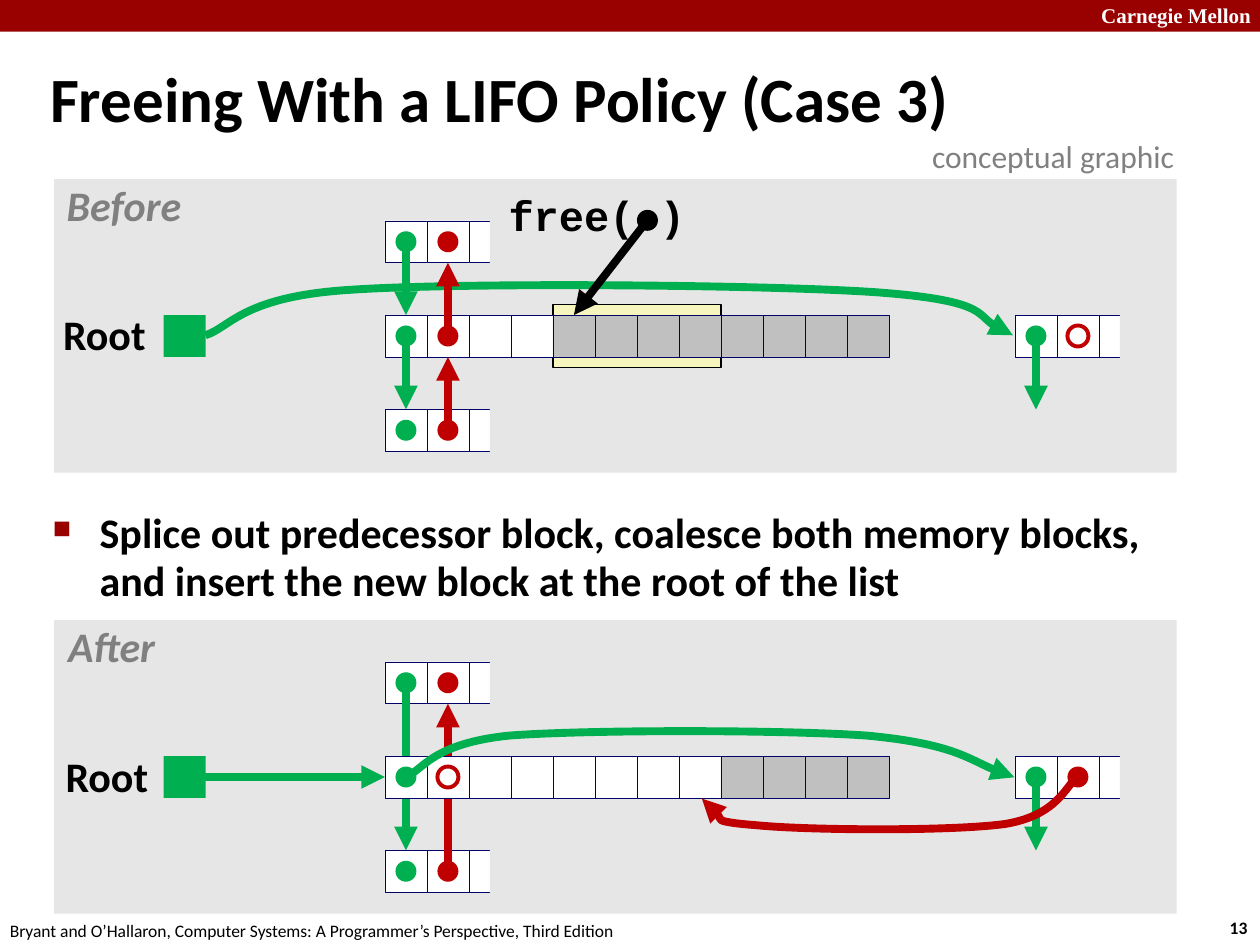
from dataclasses import dataclass

from lxml import etree
from pptx import Presentation
from pptx import util as u
from pptx.dml.color import RGBColor
from pptx.enum import shapes, text
from pptx.oxml.ns import qn


@dataclass(frozen=True)
class Theme:
    crimson: str = "990000"
    white: str = "FFFFFF"
    black: str = "000000"
    panel: str = "E6E6E6"
    muted: str = "808080"
    allocated: str = "C0C0C0"
    highlight: str = "F6F5BD"
    cell_line: str = "000066"
    forward: str = "00B050"
    backward: str = "C00000"
    body_font: str = "Calibri"
    code_font: str = "Courier New"
    banner_font: str = "Times New Roman"
    title_size: int = 36
    body_size: int = 24
    caption_size: int = 18
    banner_size: int = 12
    footer_size: int = 10


THEME = Theme()
CELL = u.Cm(2.54) // 3
DOT = CELL // 2
LIST_LEFT = u.Cm(7.76)
FAR_LEFT = LIST_LEFT + 15 * CELL
ROOT_LEFT = u.Cm(3.3)
ROW_STEP = u.Cm(1.9)


@dataclass(frozen=True)
class Label:
    """Text with its place in centimetres."""
    words: str
    left: float
    top: float
    width: float
    height: float
    size: int = THEME.body_size
    colour: str = THEME.black
    font: str = THEME.body_font
    bold: bool = True
    italic: bool = False
    wrap: bool = False
    spacing: float = 1.0
    bullet: bool = False
    tight: bool = False


@dataclass(frozen=True)
class Curve:
    """Cubic segments: a start point, then three points each, in centimetres."""
    colour: str
    points: tuple


def diagram_label(words, left, top, width, **style) -> Label:
    return Label(words, left, top, width, 1.19, spacing=0.9, tight=True, **style)


LABELS = (
    Label("Carnegie Mellon", 21.95, -0.08, 3.63, 0.76, THEME.banner_size,
          THEME.white, THEME.banner_font, wrap=True),
    Label("13", 24.54, 18.36, 0.94, 0.69, THEME.footer_size),
    Label("Bryant and O’Hallaron, Computer Systems: A Programmer’s Perspective, Third Edition",
          -0.05, 18.42, 12.9, 0.69, THEME.footer_size, bold=False),
    Label("Freeing With a LIFO Policy (Case 3)", 0.76, 0.99, 24.2, 2.18,
          THEME.title_size, wrap=True, spacing=0.87),
    Label("Splice out predecessor block, coalesce both memory blocks, "
          "and insert the new block at the root of the list",
          0.81, 10.16, 23.09, 2.18, wrap=True, spacing=0.95, bullet=True),
    Label("conceptual graphic", 18.54, 2.64, 5.51, 1.02, THEME.caption_size,
          THEME.muted, bold=False),
    diagram_label("Root", 1.14, 6.2, 1.93),
    diagram_label("Root", 1.19, 15.11, 1.93),
    diagram_label("Before", 1.19, 3.61, 2.62, colour=THEME.muted, italic=True),
    diagram_label("After", 1.22, 12.5, 2.06, colour=THEME.muted, italic=True),
    diagram_label("free( )", 10.11, 3.81, 3.84, font=THEME.code_font),
)

ROOT_TO_FAR = Curve(THEME.forward, (
    (4.14, 6.76), (4.65, 6.6), (4.88, 5.97), (7.11, 5.84),
    (9.37, 5.69), (15.39, 5.74), (17.63, 5.89),
    (19.84, 6.05), (19.84, 6.58), (20.42, 6.76)))
NEW_TO_FAR = Curve(THEME.forward, (
    (8.18, 15.67), (8.53, 15.52), (8.71, 14.99), (10.26, 14.83),
    (11.81, 14.71), (15.77, 14.71), (17.48, 14.83),
    (19.18, 14.99), (19.84, 15.49), (20.45, 15.67)))
FAR_TO_NEW = Curve(THEME.backward, (
    (21.72, 15.67), (21.49, 15.82), (21.34, 16.43), (20.27, 16.61),
    (19.2, 16.76), (16.31, 16.74), (15.29, 16.64),
    (14.27, 16.56), (14.38, 16.23), (14.15, 16.1)))


def child(parent, tag: str, **attributes):
    return etree.SubElement(parent, qn(tag), **attributes)


def add_form(page, kind, left, top, width, height, fill=None, line=None, weight=0.25):
    form = page.shapes.add_shape(kind, left, top, width, height)
    form.shadow.inherit = False
    if fill:
        form.fill.solid()
        form.fill.fore_color.rgb = RGBColor.from_string(fill)
    else:
        form.fill.background()
    if line:
        form.line.color.rgb = RGBColor.from_string(line)
        form.line.width = u.Pt(weight)
    else:
        form.line.fill.background()
    return form


def add_rect(page, *place, **style):
    return add_form(page, shapes.MSO_SHAPE.RECTANGLE, *place, **style)


def add_dot(page, cell, colour: str, hollow: bool = False):
    """Put a pointer dot, or a ring for a null pointer, in the middle of a cell."""
    style = {"line": colour, "weight": 2.25} if hollow else {"fill": colour}
    margin = (CELL - DOT) // 2
    return add_form(page, shapes.MSO_SHAPE.OVAL, cell.left + margin,
                    cell.top + margin, DOT, DOT, **style)


def add_cells(page, left: int, top: int, free: int, allocated: int = 0) -> list:
    fills = [THEME.white] * free + [THEME.allocated] * allocated
    return [add_rect(page, left + i * CELL, top, CELL, CELL, fill=fill, line=THEME.cell_line)
            for i, fill in enumerate(fills)]


def add_cut_block(page, left: int, top: int) -> list:
    """Draw the start of a block whose third cell is half covered."""
    cells = add_cells(page, left, top, 3)
    add_rect(page, left + CELL * 5 // 2, top - CELL // 4, CELL, CELL * 3 // 2, fill=THEME.panel)
    return cells


def style_arrow(arrow, colour: str) -> None:
    arrow.line.color.rgb = RGBColor.from_string(colour)
    arrow.line.width = u.Pt(4.5)
    child(arrow.line._get_or_add_ln(), "a:tailEnd", type="triangle")


def add_arrow(page, start, end, colour: str, target=None, site: int = 0) -> None:
    arrow = page.shapes.add_connector(shapes.MSO_CONNECTOR.STRAIGHT, *start, *end)
    style_arrow(arrow, colour)
    child(arrow._element.spPr, "a:effectLst")
    if target is not None:
        arrow.end_connect(target, site)


def centre(form) -> tuple:
    return form.left + form.width // 2, form.top + form.height // 2


def link(page, source, target, colour: str, site: int) -> None:
    add_arrow(page, centre(source), centre(target), colour, target, site)


def add_curve(page, curve: Curve) -> None:
    start, *rest = [(u.Cm(x), u.Cm(y)) for x, y in curve.points]
    builder = page.shapes.build_freeform(*start)
    builder.add_line_segments(rest, close=False)
    form = builder.convert_to_shape()
    form.shadow.inherit = False
    form.fill.background()
    style_arrow(form, curve.colour)
    outline = next(form._element.iter(qn("a:path")))
    steps = list(outline)[1:]
    for i in range(0, len(steps), 3):
        bend = child(outline, "a:cubicBezTo")
        for step in steps[i:i + 3]:
            bend.append(step[0])
            outline.remove(step)


def add_label(page, label: Label) -> None:
    box = page.shapes.add_textbox(*map(u.Cm, (label.left, label.top, label.width, label.height)))
    frame = box.text_frame
    frame.text = label.words
    frame.word_wrap = label.wrap
    if not label.wrap:
        frame.auto_size = text.MSO_AUTO_SIZE.SHAPE_TO_FIT_TEXT
    para = frame.paragraphs[0]
    if label.tight:
        frame.margin_left = frame.margin_right = u.Cm(0.13)
        para.alignment = text.PP_ALIGN.CENTER
    if label.size == THEME.title_size:
        frame.vertical_anchor = text.MSO_ANCHOR.MIDDLE
    if label.bullet:
        props = para._p.get_or_add_pPr()
        props.set("marL", str(u.Cm(0.95)))
        props.set("indent", str(-u.Cm(0.95)))
        child(child(props, "a:buClr"), "a:srgbClr", val=THEME.crimson)
        child(props, "a:buSzPct", val="60000")
        child(props, "a:buChar", char="■")
    para.line_spacing = label.spacing
    font = para.runs[0].font
    font.name, font.size = label.font, u.Pt(label.size)
    font.bold, font.italic = label.bold, label.italic
    font.color.rgb = RGBColor.from_string(label.colour)


def add_panel(page, top: int) -> tuple:
    """Draw a panel with its root and outer blocks; return them with the row top."""
    add_rect(page, u.Cm(1.09), top, u.Cm(22.63), u.Cm(5.92), fill=THEME.panel)
    row = top + u.Cm(2.74)
    root = add_rect(page, ROOT_LEFT, row, CELL, CELL, fill=THEME.forward)
    upper = add_cut_block(page, LIST_LEFT, row - ROW_STEP)
    lower = add_cut_block(page, LIST_LEFT, row + ROW_STEP)
    far = add_cut_block(page, FAR_LEFT, row)
    return row, root, upper, lower, far


def add_pointers(page, block: list, null_back: bool = False) -> None:
    add_dot(page, block[0], THEME.forward)
    add_dot(page, block[1], THEME.backward, hollow=null_back)


def point_down(page, cell) -> None:
    x, y = centre(cell)
    add_arrow(page, (x, y), (x, y + u.Cm(1.48)), THEME.forward)


def draw_before(page) -> None:
    row, _, upper, lower, far = add_panel(page, u.Cm(3.61))
    add_rect(page, LIST_LEFT + 4 * CELL, row - CELL // 4, 4 * CELL, CELL * 3 // 2,
             fill=THEME.highlight, line=THEME.black, weight=0.75)
    add_curve(page, ROOT_TO_FAR)
    middle = add_cells(page, LIST_LEFT, row, 4, 8)
    for block in (upper, middle, lower):
        add_pointers(page, block)
    for above, below in ((upper, middle), (middle, lower)):
        link(page, above[0], below[0], THEME.forward, 0)
        link(page, below[1], above[1], THEME.backward, 2)
    add_pointers(page, far, null_back=True)
    point_down(page, far[0])
    argument = add_form(page, shapes.MSO_SHAPE.OVAL, u.Cm(12.84), u.Cm(4.23), DOT, DOT,
                        fill=THEME.black)
    link(page, argument, middle[4], THEME.black, 0)


def draw_after(page) -> None:
    row, root, upper, lower, far = add_panel(page, u.Cm(12.5))
    link(page, lower[1], upper[1], THEME.backward, 2)
    link(page, upper[0], lower[0], THEME.forward, 0)
    middle = add_cells(page, LIST_LEFT, row, 8, 4)
    for block in (upper, lower, far):
        add_pointers(page, block)
    add_pointers(page, middle, null_back=True)
    point_down(page, far[0])
    link(page, root, middle[0], THEME.forward, 1)
    add_curve(page, NEW_TO_FAR)
    add_curve(page, FAR_TO_NEW)


def main() -> None:
    deck = Presentation()
    deck.slide_width, deck.slide_height = u.Cm(25.4), u.Cm(19.05)
    page = deck.slides.add_slide(deck.slide_layouts[6])
    add_rect(page, 0, 0, deck.slide_width, u.Cm(0.64), fill=THEME.crimson)
    draw_before(page)
    draw_after(page)
    for label in LABELS:
        add_label(page, label)
    deck.save("out.pptx")


if __name__ == "__main__":
    main()
